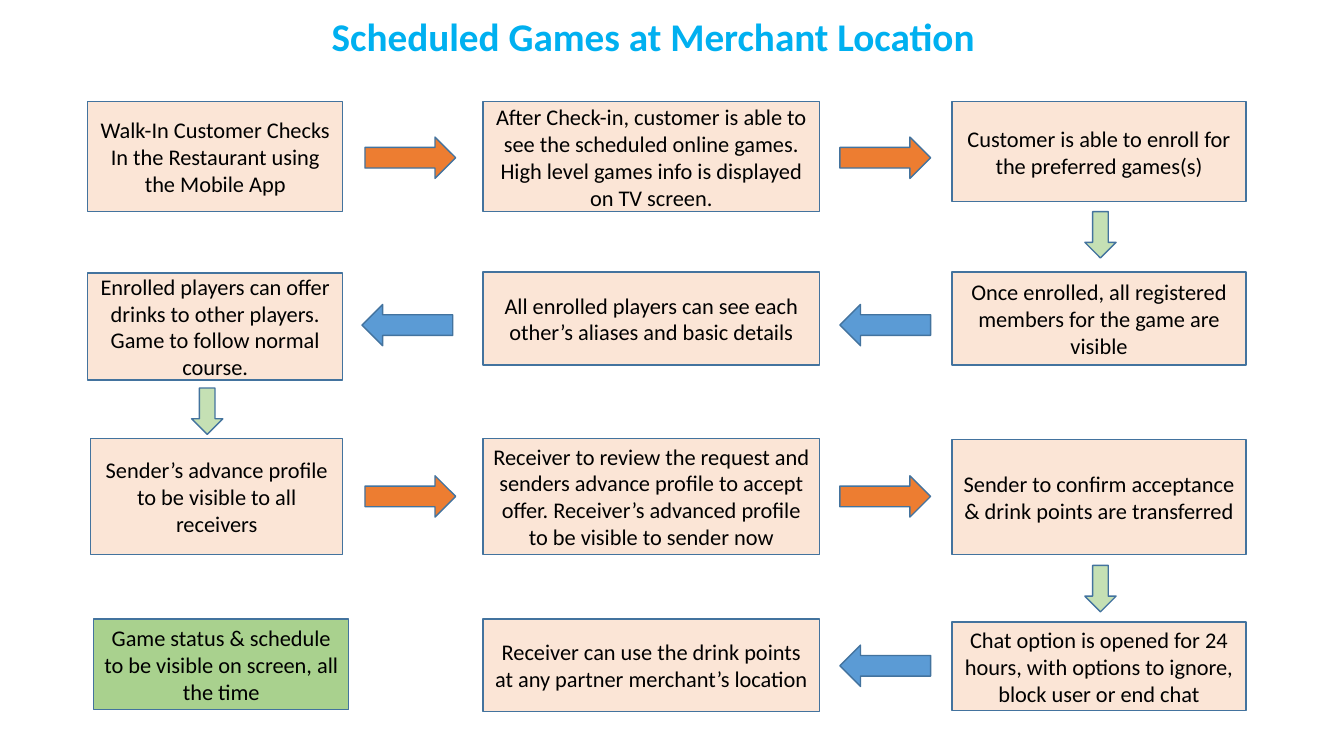
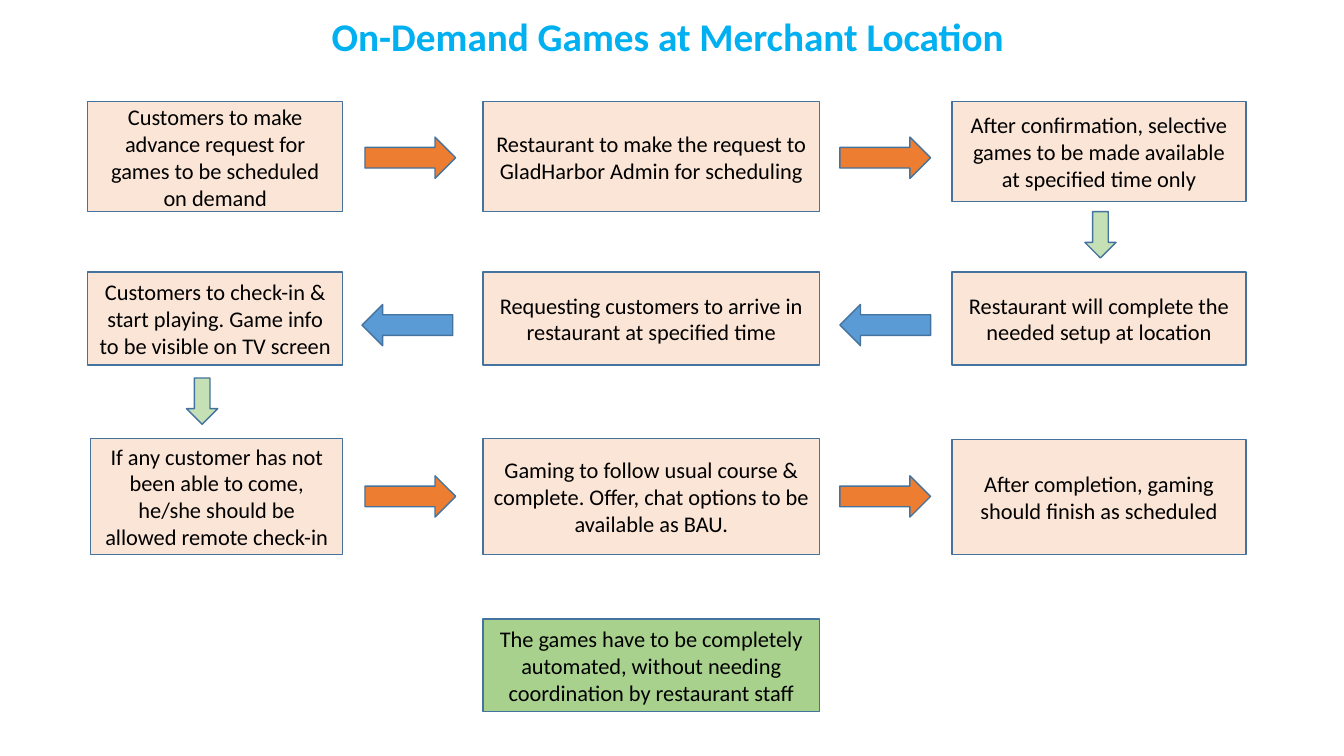
from pptx import Presentation
from pptx.dml.color import RGBColor
from pptx.enum.shapes import MSO_SHAPE
from pptx.enum.text import MSO_ANCHOR, MSO_AUTO_SIZE, PP_ALIGN
from pptx.util import Inches, Pt

RECTANGLE, RIGHT_ARROW, DOWN_ARROW = (
    MSO_SHAPE.RECTANGLE, MSO_SHAPE.RIGHT_ARROW, MSO_SHAPE.DOWN_ARROW)
TOP, MIDDLE = MSO_ANCHOR.TOP, MSO_ANCHOR.MIDDLE
LEFT, CENTER = PP_ALIGN.LEFT, PP_ALIGN.CENTER
NO_AUTOFIT = MSO_AUTO_SIZE.NONE
TITLE_ONLY = 5

FONT = "Calibri"
TITLE_BLUE, BLACK, OUTLINE = "00B0F0", "000000", "43739E"
PEACH, NOTE_GREEN = "FBE5D6", "A9D18E"
ORANGE, BLUE, PALE_GREEN = "ED7D31", "5B9BD5", "C5E0B4"

# Left and width of each column, top and height of each row
COLUMNS = [(0.87, 2.53), (4.79, 3.34), (9.44, 2.92)]
ROWS = [(1.01, 1.09), (2.7, 0.92), (4.35, 1.15), (6.14, 0.92)]
# Steps that differ from the grid, by (row, column)
EXCEPTIONS = {
    (0, 2): (9.44, 1.01, 2.92, 0.99),
    (2, 0): (0.9, 4.35, 2.5, 1.15),
    (2, 2): (9.44, 4.36, 2.92, 1.14),
    (3, 0): (0.93, 6.14, 2.53, 0.9),
    (3, 2): (9.44, 6.17, 2.92, 0.88),
}
ARROW_TOPS = [1.36, 3.02, 4.72, 6.4]
FORWARD_LEFTS = [3.62, 8.33]
BACK_LEFTS = [3.59, 8.33]


def color(value):
    return RGBColor.from_string(value)


class FlowDeck:
    def __init__(self):
        self.deck = Presentation()
        self.deck.slide_width = Inches(13.33)
        self.deck.slide_height = Inches(7.5)
        self.page = None

    def add_span(self, para, text, size, ink, bold=False):
        span = para.add_run()
        span.text = text
        span.font.name = FONT
        span.font.size = Pt(size)
        span.font.bold = bold
        span.font.color.rgb = color(ink)

    def add_page(self, title):
        layout = self.deck.slide_layouts[TITLE_ONLY]
        self.page = self.deck.slides.add_slide(layout)
        box = self.page.shapes.title
        box.left, box.top = Inches(3.19), Inches(0.07)
        box.width, box.height = Inches(7.12), Inches(0.57)
        frame = box.text_frame
        frame.auto_size = NO_AUTOFIT
        frame.vertical_anchor = TOP
        para = frame.paragraphs[0]
        para.alignment = LEFT
        self.add_span(para, title, 28, TITLE_BLUE, bold=True)

    def shape(self, kind, place, fill):
        shape = self.page.shapes.add_shape(kind, *map(Inches, place))
        shape.shadow.inherit = False
        shape.fill.solid()
        shape.fill.fore_color.rgb = color(fill)
        shape.line.color.rgb = color(OUTLINE)
        shape.line.width = Pt(1)
        return shape

    def step(self, row, column, text, fill=PEACH, place=None):
        left, width = COLUMNS[column]
        top, height = ROWS[row]
        place = place or EXCEPTIONS.get((row, column), (left, top, width, height))
        frame = self.shape(RECTANGLE, place, fill).text_frame
        frame.word_wrap = True
        frame.vertical_anchor = MIDDLE
        para = frame.paragraphs[0]
        para.alignment = CENTER
        self.add_span(para, text, 16, BLACK)

    def forward(self, row, gap):
        self.shape(RIGHT_ARROW, (FORWARD_LEFTS[gap], ARROW_TOPS[row], 0.9, 0.41), ORANGE)

    def back(self, row, gap):
        place = (BACK_LEFTS[gap], ARROW_TOPS[row], 0.9, 0.41)
        self.shape(RIGHT_ARROW, place, BLUE).rotation = 180

    def down(self, left, top):
        self.shape(DOWN_ARROW, (left, top, 0.31, 0.46), PALE_GREEN)

    def flow(self, rows, places):
        """Draw the three rows of steps and the arrows both pages share."""
        for row, texts in enumerate(rows):
            for column, text in enumerate(texts):
                self.step(row, column, text, place=places.get((row, column)))
        for gap in range(2):
            self.forward(0, gap)
            self.back(1, gap)
            self.forward(2, gap)
        self.down(10.76, 2.1)


SCHEDULED = [
    ["Walk-In Customer Checks In the Restaurant using the Mobile App",
     "After Check-in, customer is able to see the scheduled online games. "
     "High level games info is displayed on TV screen.",
     "Customer is able to enroll for the preferred games(s)"],
    ["Enrolled players can offer drinks to other players. "
     "Game to follow normal course.",
     "All enrolled players can see each other’s aliases and basic details",
     "Once enrolled, all registered members for the game are visible"],
    ["Sender’s advance profile to be visible to all receivers",
     "Receiver to review the request and senders advance profile to accept "
     "offer. Receiver’s advanced profile to be visible to sender now",
     "Sender to confirm acceptance & drink points are transferred"],
]
ON_DEMAND = [
    ["Customers to make advance request for games to be scheduled on demand",
     "Restaurant to make the request to GladHarbor Admin for scheduling",
     "After confirmation, selective games to be made available "
     "at specified time only"],
    ["Customers to check-in & start playing. "
     "Game info to be visible on TV screen",
     "Requesting customers to arrive in restaurant at specified time",
     "Restaurant will complete the needed setup at location"],
    ["If any customer has not been able to come, "
     "he/she should be allowed remote check-in",
     "Gaming to follow usual course & complete. "
     "Offer, chat options to be available as BAU.",
     "After completion, gaming should finish as scheduled"],
]


def main():
    flow_deck = FlowDeck()

    flow_deck.add_page("Scheduled Games at Merchant Location")
    flow_deck.flow(SCHEDULED, {(1, 0): (0.87, 2.71, 2.53, 1.06)})
    flow_deck.down(1.9, 3.85)
    flow_deck.down(10.76, 5.61)
    flow_deck.step(3, 2, "Chat option is opened for 24 hours, with options "
                         "to ignore, block user or end chat")
    flow_deck.back(3, 1)
    flow_deck.step(3, 1, "Receiver can use the drink points at any partner "
                         "merchant’s location")
    flow_deck.step(3, 0, "Game status & schedule to be visible on screen, "
                         "all the time", NOTE_GREEN)

    flow_deck.add_page("On-Demand Games at Merchant Location")
    flow_deck.flow(ON_DEMAND, {})
    flow_deck.down(1.85, 3.75)
    flow_deck.step(3, 1, "The games have to be completely automated, without "
                         "needing coordination by restaurant staff", NOTE_GREEN)

    flow_deck.deck.save("out.pptx")


if __name__ == "__main__":
    main()
